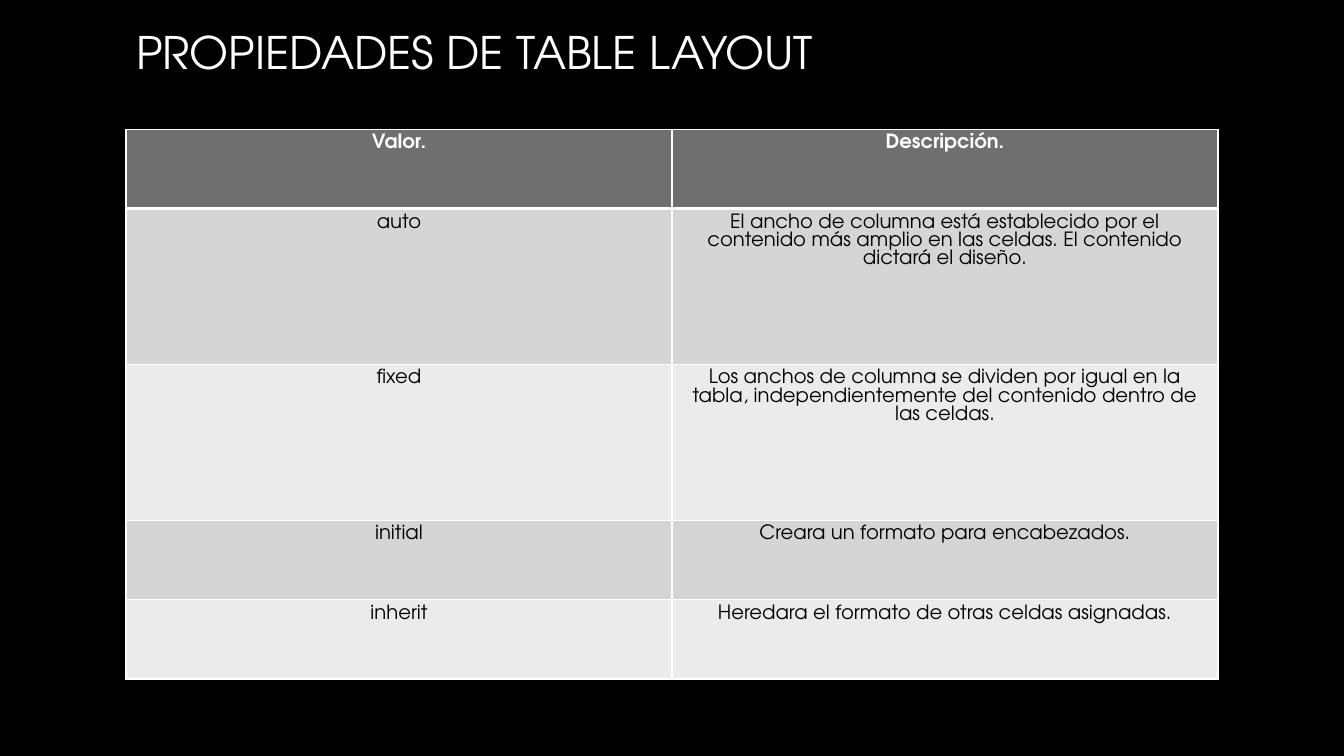
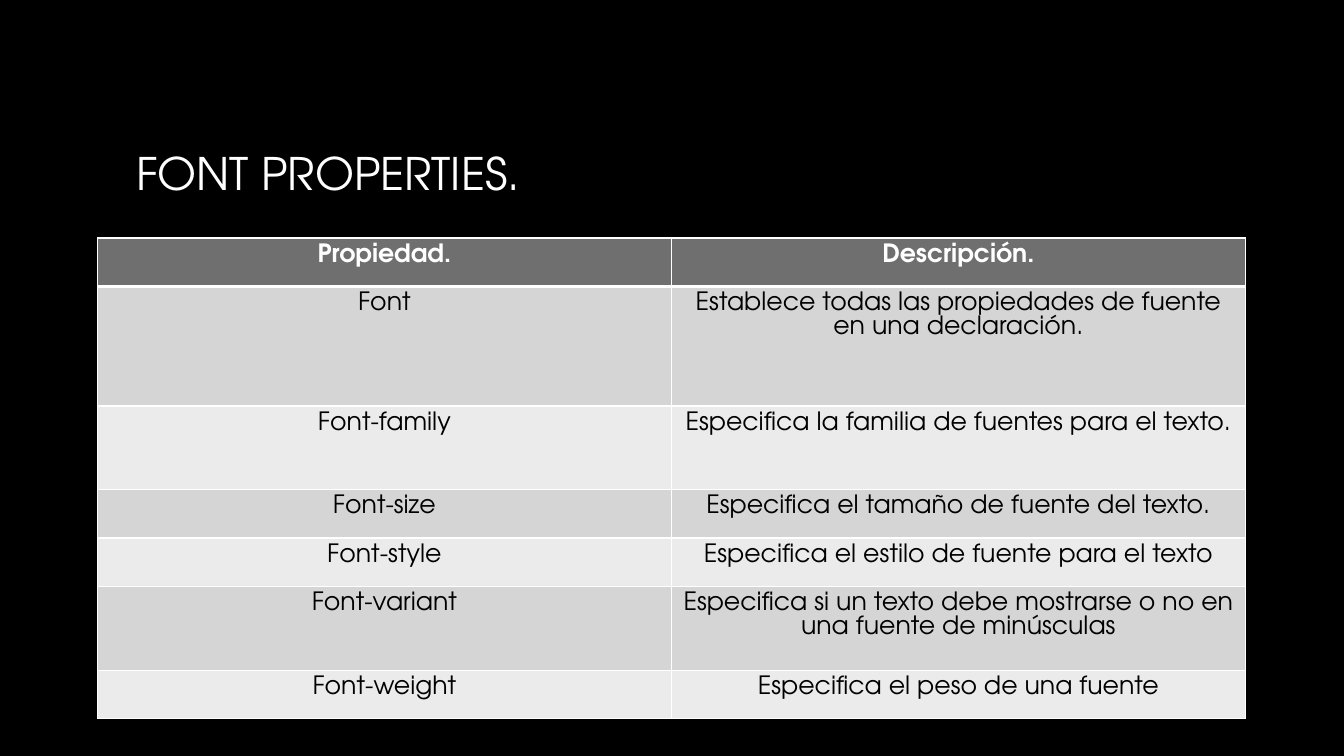
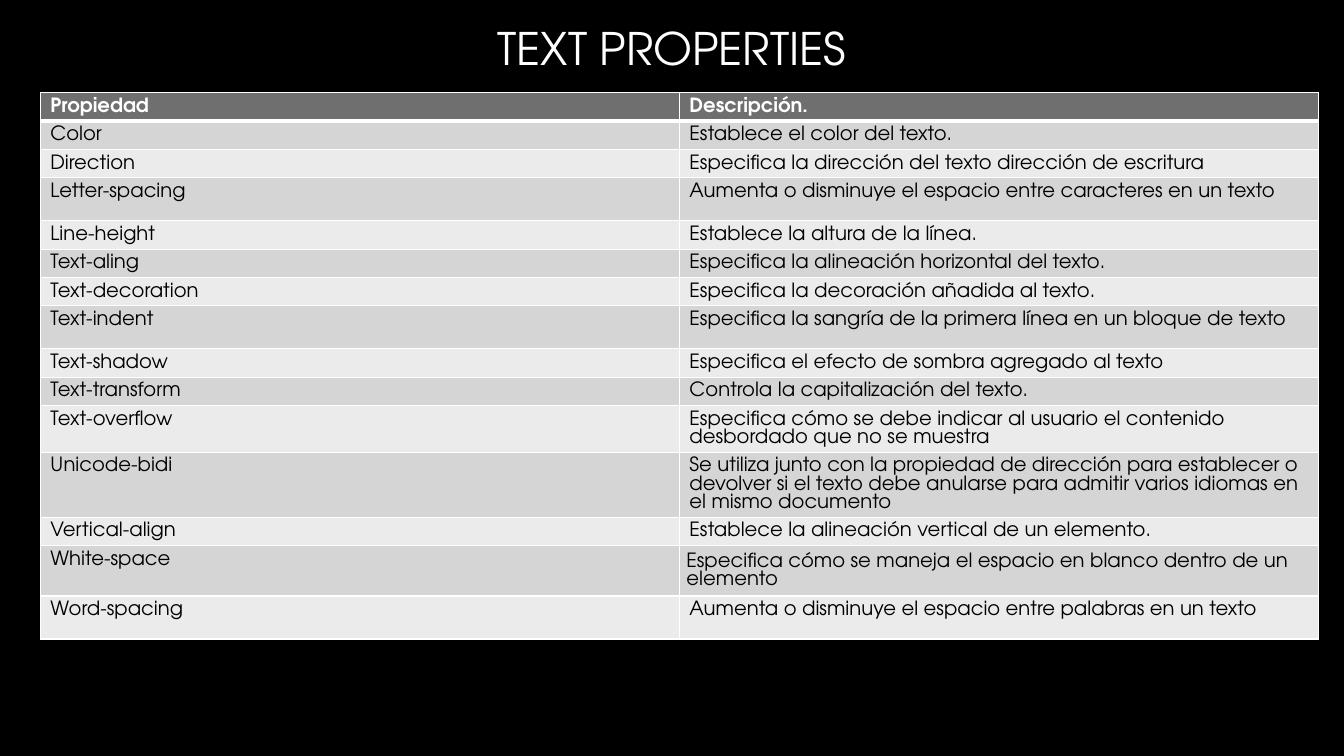
from dataclasses import dataclass

from lxml import etree
from pptx import Presentation
from pptx import util as u
from pptx.dml.color import RGBColor
from pptx.enum import text
from pptx.oxml import ns

Pt = u.Pt
LEFT, CENTER = text.PP_ALIGN.LEFT, text.PP_ALIGN.CENTER


@dataclass(frozen=True)
class Theme:
    font: str = "TeX Gyre Adventor"
    background: str = "000000"
    title_top: str = "FFFFFF"
    title_bottom: str = "A6A6A6"
    header: str = "6F6F6F"
    odd_row: str = "D5D5D5"
    even_row: str = "EBEBEB"
    header_text: str = "FFFFFF"
    body_text: str = "000000"
    border: str = "FFFFFF"
    title_size: int = 32
    thin: int = 1
    thick: int = 3


theme = Theme()

# Content of each slide: title, table frame, row heights and rows
topics = [
    dict(
        title="PROPIEDADES DE TABLE LAYOUT", title_top=-38, title_align=LEFT,
        left=90, top=92.2, width=780, size=14, leading=13.05, align=CENTER,
        heights=[56.7, 111.4, 111.4, 56.7, 56.7],
        rows=[
            ("Valor.", "Descripción."),
            ("auto", "El ancho de columna está establecido por el contenido más "
                     "amplio en las celdas. El contenido dictará el diseño."),
            ("fixed", "Los anchos de columna se dividen por igual en la tabla, "
                      "independientemente del contenido dentro de las celdas."),
            ("initial", "Creara un formato para encabezados."),
            ("inherit", "Heredara el formato de otras celdas asignadas."),
        ],
    ),
    dict(
        title="FONT PROPERTIES.", title_top=48, title_align=LEFT,
        left=69.6, top=170, width=820, size=18, leading=17.1, align=CENTER,
        heights=[34.6, 85.4, 59.8, 34.6, 34.6, 59.8, 34.6],
        rows=[
            ("Propiedad.", "Descripción."),
            ("Font", "Establece todas las propiedades de fuente en una declaración."),
            ("Font-family", "Especifica la familia de fuentes para el texto."),
            ("Font-size", "Especifica el tamaño de fuente del texto."),
            ("Font-style", "Especifica el estilo de fuente para el texto"),
            ("Font-variant", "Especifica si un texto debe mostrarse o no en una "
                             "fuente de minúsculas"),
            ("Font-weight", "Especifica el peso de una fuente"),
        ],
    ),
    dict(
        title="TEXT PROPERTIES", title_top=-41, title_align=CENTER,
        left=28.8, top=66.2, width=913, size=14, leading=13.05, align=LEFT,
        heights=[20.2, 20.2, 20.2, 30.7, 20.2, 20.2, 20.2, 30.7, 20.2, 20.2,
                 33, 46, 20.2, 35.6, 30.7],
        rows=[
            ("Propiedad", "Descripción."),
            ("Color", "Establece el color del texto."),
            ("Direction", "Especifica la dirección del texto dirección de escritura"),
            ("Letter-spacing", "Aumenta o disminuye el espacio entre caracteres en un texto"),
            ("Line-height", "Establece la altura de la línea."),
            ("Text-aling", "Especifica la alineación horizontal del texto."),
            ("Text-decoration", "Especifica la decoración añadida al texto."),
            ("Text-indent", "Especifica la sangría de la primera línea en un bloque de texto"),
            ("Text-shadow", "Especifica el efecto de sombra agregado al texto"),
            ("Text-transform", "Controla la capitalización del texto."),
            ("Text-overflow", "Especifica cómo se debe indicar al usuario el contenido "
                              "desbordado que no se muestra"),
            ("Unicode-bidi", "Se utiliza junto con la propiedad de dirección para "
                             "establecer o devolver si el texto debe anularse para "
                             "admitir varios idiomas en el mismo documento"),
            ("Vertical-align", "Establece la alineación vertical de un elemento."),
            ("White-space", "Especifica cómo se maneja el espacio en blanco dentro de "
                            "un elemento"),
            ("Word-spacing", "Aumenta o disminuye el espacio entre palabras en un texto"),
        ],
        tight_cell=(13, 1),
    ),
]


def write(paragraph, words, size, align):
    """Add one run in the theme font and return its font."""
    paragraph.alignment = align
    run = paragraph.add_run()
    run.text = words
    run.font.name = theme.font
    run.font.size = Pt(size)
    return run.font


def add_borders(cell, top, bottom):
    """Draw the four sides of a cell; call before the cell is filled."""
    properties = cell._tc.get_or_add_tcPr()
    for side, weight in (("L", theme.thin), ("R", theme.thin), ("T", top), ("B", bottom)):
        line = etree.SubElement(properties, ns.qn("a:ln" + side), w=str(Pt(weight)))
        fill = etree.SubElement(line, ns.qn("a:solidFill"))
        etree.SubElement(fill, ns.qn("a:srgbClr"), val=theme.border)


deck = Presentation()
deck.slide_width, deck.slide_height = Pt(960), Pt(540)

# Black background for every slide
backdrop = deck.slide_master.background.fill
backdrop.solid()
backdrop.fore_color.rgb = RGBColor.from_string(theme.background)

for topic in topics:
    slide = deck.slides.add_slide(deck.slide_layouts[5])

    # Title
    title = slide.shapes.title
    title.left, title.top = Pt(90), Pt(topic["title_top"])
    title.width, title.height = Pt(780), Pt(150)
    title.text_frame.vertical_anchor = text.MSO_ANCHOR.MIDDLE
    title.text_frame.auto_size = text.MSO_AUTO_SIZE.NONE
    font = write(title.text_frame.paragraphs[0], topic["title"],
                 theme.title_size, topic["title_align"])
    font.fill.gradient()
    font.fill.gradient_angle = 267
    for stop, colour in zip(font.fill.gradient_stops, (theme.title_top, theme.title_bottom)):
        stop.color.rgb = RGBColor.from_string(colour)

    # Table frame with two equal columns
    rows, heights = topic["rows"], topic["heights"]
    table = slide.shapes.add_table(
        len(rows), 2, Pt(topic["left"]), Pt(topic["top"]),
        Pt(topic["width"]), Pt(sum(heights))).table
    for column in table.columns:
        column.width = Pt(topic["width"] / 2)

    # Header row, then rows in alternating greys
    for r, (row, height) in enumerate(zip(rows, heights)):
        table.rows[r].height = Pt(height)
        is_header = r == 0
        shade = theme.header if is_header else theme.odd_row if r % 2 else theme.even_row
        ink = theme.header_text if is_header else theme.body_text
        for c, words in enumerate(row):
            cell = table.cell(r, c)
            add_borders(cell, top=theme.thick if r == 1 else theme.thin,
                        bottom=theme.thick if is_header else theme.thin)
            cell.fill.solid()
            cell.fill.fore_color.rgb = RGBColor.from_string(shade)
            if (r, c) == topic.get("tight_cell"):
                cell.margin_left = cell.margin_right = Pt(5)
                cell.margin_top = cell.margin_bottom = Pt(5)
            paragraph = cell.text_frame.paragraphs[0]
            paragraph.line_spacing = Pt(topic["leading"])
            font = write(paragraph, words, topic["size"], topic["align"])
            font.bold = is_header
            font.color.rgb = RGBColor.from_string(ink)

deck.save("out.pptx")
